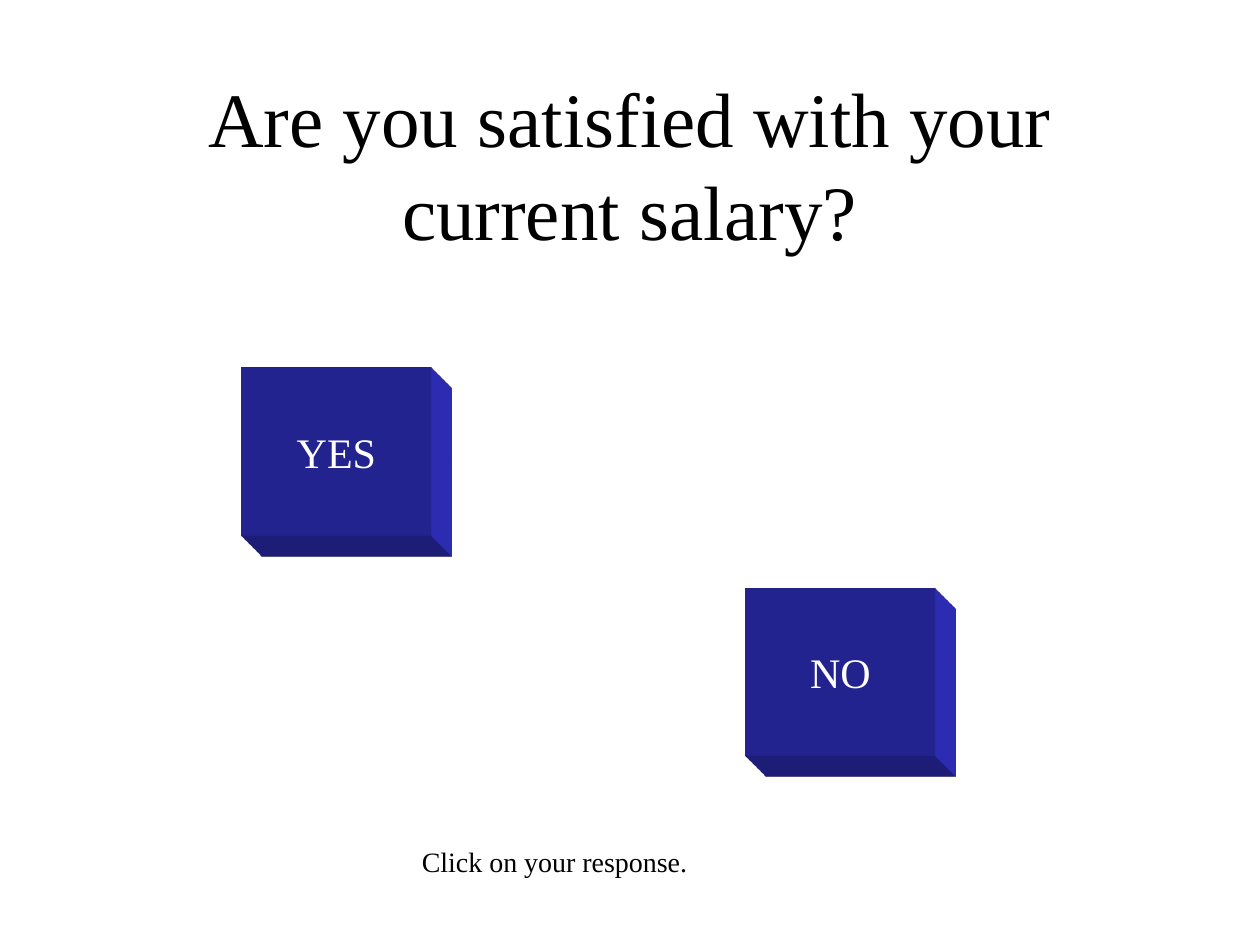
from lxml import etree
from pptx import Presentation
from pptx.dml.color import RGBColor
from pptx.enum import shapes, text
from pptx.oxml import ns
from pptx.util import Inches, Pt

FONT = "Times New Roman"
HUES = {"ink": "000000", "face": "3333CC", "label": "FFFFFF"}


def write(shape, words, size, hue="ink", align=text.PP_ALIGN.CENTER,
          anchor=text.MSO_ANCHOR.MIDDLE, wrap=True):
    frame = shape.text_frame
    frame.text = words
    frame.word_wrap = wrap
    frame.vertical_anchor = anchor
    para = frame.paragraphs[0]
    para.alignment = align
    font = para.runs[0].font
    font.name = FONT
    font.size = Pt(size)
    font.color.rgb = RGBColor.from_string(HUES[hue])


def place(shape, box):
    shape.left, shape.top, shape.width, shape.height = map(Inches, box)


def extrude(shape, depth, hue):
    props = shape._element.spPr
    scene = etree.SubElement(props, ns.qn("a:scene3d"))
    etree.SubElement(scene, ns.qn("a:camera"), prst="legacyObliqueBottomRight")
    etree.SubElement(scene, ns.qn("a:lightRig"), rig="legacyFlat3", dir="b")
    solid = etree.SubElement(props, ns.qn("a:sp3d"), extrusionH=str(depth),
                             prstMaterial="legacyMatte")
    for edge in ("a:bevelT", "a:bevelB"):
        etree.SubElement(solid, ns.qn(edge), w="13500", h="13500", prst="angle")
    side = etree.SubElement(solid, ns.qn("a:extrusionClr"))
    etree.SubElement(side, ns.qn("a:srgbClr"), val=HUES[hue])


def add_title(slide, box, words):
    title = slide.shapes.title
    place(title, box)
    write(title, words, 44)


def add_button(slide, box, words):
    button = slide.shapes.add_shape(shapes.MSO_SHAPE.RECTANGLE, *map(Inches, box))
    button.shadow.inherit = False
    button.fill.solid()
    button.fill.fore_color.rgb = RGBColor.from_string(HUES["face"])
    button.line.fill.background()
    extrude(button, Inches(0.47), "face")
    write(button, words, 24, "label", wrap=False)


def add_prompt(slide, box, words):
    prompt = slide.shapes.add_textbox(*map(Inches, box))
    write(prompt, words, 16, align=text.PP_ALIGN.LEFT,
          anchor=text.MSO_ANCHOR.TOP, wrap=False)
    prompt.text_frame.auto_size = text.MSO_AUTO_SIZE.SHAPE_TO_FIT_TEXT


def main():
    deck = Presentation()
    deck.slide_width, deck.slide_height = Inches(10), Inches(7.5)
    slide = deck.slides.add_slide(deck.slide_layouts[5])
    add_title(slide, (0.75, 0.67, 8.5, 1.25), "Are you satisfied with your current salary?")
    for words, left, top in (("YES", 1.92, 2.92), ("NO", 5.92, 4.67)):
        add_button(slide, (left, top, 1.5, 1.33), words)
    add_prompt(slide, (3.25, 6.65, 2.32, 0.37), "Click on your response.")
    deck.save("out.pptx")


if __name__ == "__main__":
    main()
